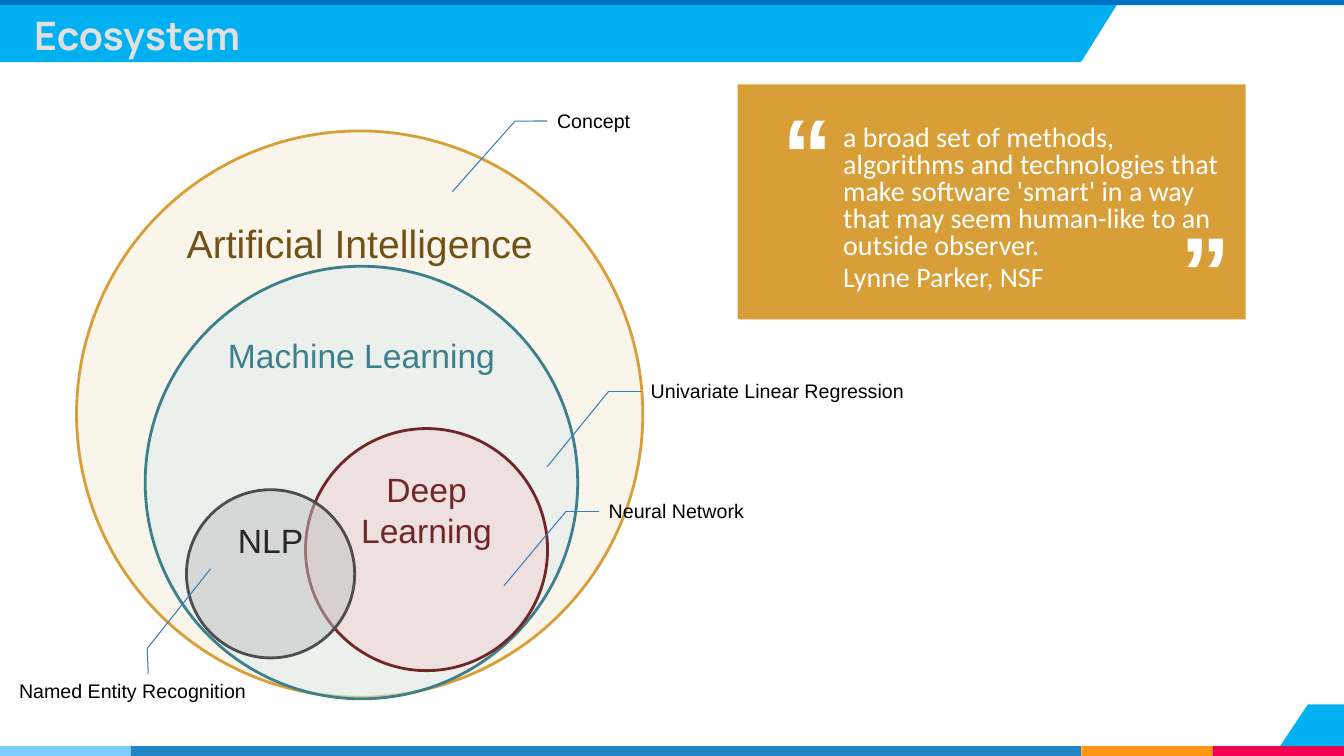
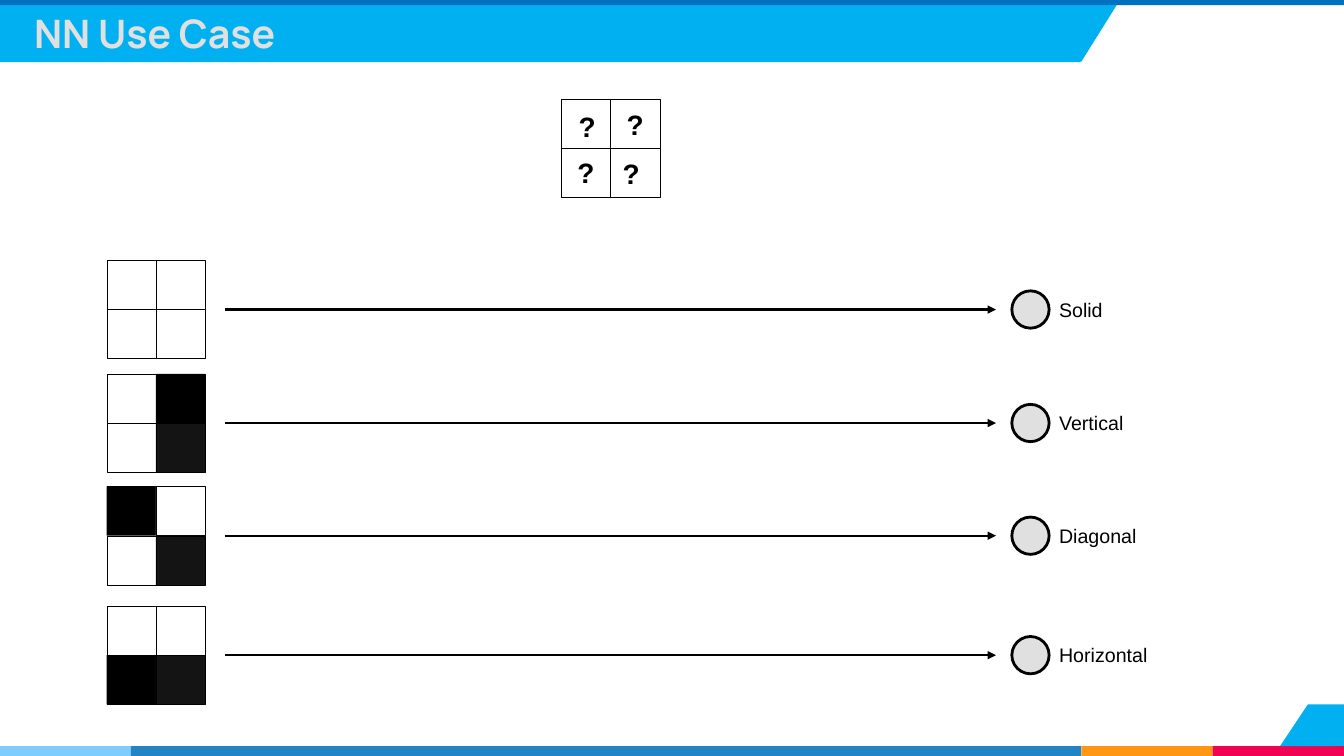
import pptx
import pptx.util
import pptx.dml.color
import pptx.enum.shapes
import pptx.enum.text
import pptx.oxml.ns
import lxml.etree

Cm = pptx.util.Cm
Pt = pptx.util.Pt
Preset = pptx.enum.shapes.MSO_SHAPE
Anchor = pptx.enum.text.MSO_ANCHOR
Align = pptx.enum.text.PP_ALIGN

WIDTH, HEIGHT = 33.87, 19.05
COLORS = {
    "white": "FFFFFF", "black": "000000", "ink": "141414", "silver": "E0E0E0",
    "navy": "0070C0", "cyan": "00B0F0", "sky": "7ECEFD", "blue": "2185C5",
    "orange": "FF9715", "pink": "F20253", "callout": "367EB9",
    "gold": "D89F39", "gold_pale": "F7ECD7", "gold_dark": "725116",
    "teal": "3D808C", "teal_pale": "DDEDF0",
    "wine": "712627", "wine_pale": "EFD1D1",
    "grey": "4D4D4D", "grey_pale": "C2C2C2", "grey_dark": "262626",
}


def rgb(name):
    return pptx.dml.color.RGBColor.from_string(COLORS[name])


def add_child(parent, tag, **attributes):
    return lxml.etree.SubElement(parent, pptx.oxml.ns.qn(tag), attributes)


def write(frame, text, size=14, color="black", font="Arial", bold=False,
          align=Align.LEFT, anchor=Anchor.TOP, inset=0.13, before=0, spacing=None):
    frame.word_wrap = True
    frame.vertical_anchor = anchor
    frame.margin_left = frame.margin_right = Cm(0.25)
    frame.margin_top = frame.margin_bottom = Cm(inset)
    for index, line in enumerate(text.split("\n")):
        paragraph = frame.add_paragraph() if index else frame.paragraphs[0]
        paragraph.alignment = align
        paragraph.space_before = Pt(before)
        paragraph.line_spacing = spacing
        run = paragraph.add_run()
        run.text = line
        run.font.size = Pt(size)
        run.font.name = font
        run.font.bold = bold
        run.font.color.rgb = rgb(color)


class Deck:
    def __init__(self):
        self.presentation = pptx.Presentation()
        self.presentation.slide_width = Cm(WIDTH)
        self.presentation.slide_height = Cm(HEIGHT)
        self.slide = None

    def new_slide(self, title, title_top):
        self.slide = self.presentation.slides.add_slide(self.presentation.slide_layouts[6])
        stops = [0, 3.3, 27.25, 30.56, WIDTH]
        for left, right, color in zip(stops, stops[1:], ["sky", "blue", "orange", "pink"]):
            self.shape(left, 18.8, right - left, 0.25, color)
        self.shape(0, 0.13, 27.23, 1.44, "cyan")
        self.shape(26.34, 0.13, 1.8, 1.44, "cyan", Preset.ISOSCELES_TRIANGLE).rotation = 180
        self.shape(0, 0, WIDTH, 0.13, "navy")
        self.shape(32.97, 17.75, 0.9, 1.05, "cyan")
        self.shape(32.26, 17.75, 1.4, 1.05, "cyan", Preset.ISOSCELES_TRIANGLE)
        self.text(title, 0.61, title_top, 32.39, 1.47, size=28, color="silver",
                  font="Manrope", bold=True, anchor=Anchor.BOTTOM, inset=0.25)

    def shape(self, left, top, width, height, fill, preset=Preset.RECTANGLE,
              line=None, weight=2, opacity=None):
        shape = self.slide.shapes.add_shape(preset, Cm(left), Cm(top), Cm(width), Cm(height))
        shape.shadow.inherit = False
        shape.fill.solid()
        shape.fill.fore_color.rgb = rgb(fill)
        if opacity:
            tone = shape.fill._xPr.find(".//" + pptx.oxml.ns.qn("a:srgbClr"))
            add_child(tone, "a:alpha", val=str(opacity * 1000))
        if line:
            shape.line.color.rgb = rgb(line)
            shape.line.width = Pt(weight)
        else:
            shape.line.fill.background()
        return shape

    def text(self, text, left, top, width, height, **style):
        box = self.slide.shapes.add_textbox(Cm(left), Cm(top), Cm(width), Cm(height))
        write(box.text_frame, text, **style)
        return box

    def line(self, start, end, color, weight, arrow=False):
        line = self.slide.shapes.add_connector(
            pptx.enum.shapes.MSO_CONNECTOR.STRAIGHT, *map(Cm, start + end))
        line.line.color.rgb = rgb(color)
        line.line.width = Pt(weight)
        if arrow:
            add_child(line.line._get_or_add_ln(), "a:tailEnd", type="triangle")
        add_child(line._element.spPr, "a:effectLst")
        return line

    def circle(self, text, left, top, diameter, theme, size=24, color=None):
        circle = self.shape(left, top, diameter, diameter, theme + "_pale", Preset.OVAL,
                            line=theme, opacity=50)
        write(circle.text_frame, text, size=size, color=color or theme, align=Align.CENTER)

    def callout(self, text, tip, elbow, left, top, width, site):
        label = self.text(text, left, top, width, 0.86)
        self.line(tip, elbow, "callout", 0.75)
        self.line(elbow, elbow, "callout", 0.75).end_connect(label, site)

    def pattern(self, left, top, fills, cell=1.24):
        for index, fill in enumerate(fills):
            row, column = divmod(index, 2)
            self.shape(left + column * cell, top + row * cell, cell, cell, fill,
                       line="black", weight=0.25)

    def outcome(self, text, top, fills):
        middle = top + 1.24
        self.pattern(2.69, top, fills)
        self.line((5.66, middle), (25.1, middle), "black", 1.5, arrow=True)
        self.shape(25.5, middle - 0.47, 0.94, 0.94, "silver", Preset.OVAL, line="black")
        self.text(text, 26.44, middle - 0.43, 3.63, 0.86)


def ecosystem(deck):
    deck.new_slide("Ecosystem", 0.25)
    deck.circle("Artificial Intelligence", 1.93, 3.3, 14.27, "gold", 28, "gold_dark")
    deck.circle("Machine Learning", 3.66, 6.71, 10.9, "teal")
    deck.circle("Deep Learning", 7.7, 10.8, 6.1, "wine")
    deck.circle("NLP", 4.7, 12.34, 4.24, "grey", color="grey_dark")

    deck.shape(18.59, 2.13, 12.8, 5.92, "gold")
    mark = dict(size=72, color="white", bold=True, before=14.4)
    deck.text("“", 19.46, 2.13, 2.26, 3.02, **mark)
    deck.text("a broad set of methods, algorithms and technologies that make software 'smart' "
              "in a way that may seem human-like to an outside observer.\nLynne Parker, NSF",
              21, 3.05, 10.21, 3.96, size=20, color="white", font="Calibri",
              before=4, spacing=0.8)
    deck.text("”", 29.51, 5.11, 1.8, 2.29, **mark)

    for text, tip, elbow, left, width in [
        ("Concept", (11.4, 4.83), (12.98, 3.05), 13.79, 2.44),
        ("Univariate Linear Regression", (13.79, 11.76), (15.34, 9.86), 16.15, 7.01),
        ("Neural Network", (12.7, 14.76), (14.27, 12.88), 15.09, 7.01),
    ]:
        deck.callout(text, tip, elbow, left, elbow[1] - 0.43, width, site=1)
    deck.callout("Named Entity Recognition", (5.31, 14.33), (3.71, 16.34),
                 0.23, 16.99, 7.01, site=0)


def use_case(deck):
    deck.new_slide("NN Use Case", 0.2)
    for text, top, fills in [
        ("Solid", 6.56, ["white", "white", "white", "white"]),
        ("Vertical", 9.42, ["white", "black", "white", "ink"]),
        ("Diagonal", 12.26, ["black", "white", "white", "ink"]),
        ("Horizontal", 15.27, ["white", "white", "black", "ink"]),
    ]:
        deck.outcome(text, top, fills)
    deck.pattern(14.15, 2.49, ["white"] * 4)
    for left, top in [(14.33, 2.62), (15.54, 2.59), (15.44, 3.81), (14.3, 3.78)]:
        deck.text("?", left, top, 0.89, 1.12, size=20, bold=True)


def main():
    deck = Deck()
    ecosystem(deck)
    use_case(deck)
    deck.presentation.save("out.pptx")


if __name__ == "__main__":
    main()
